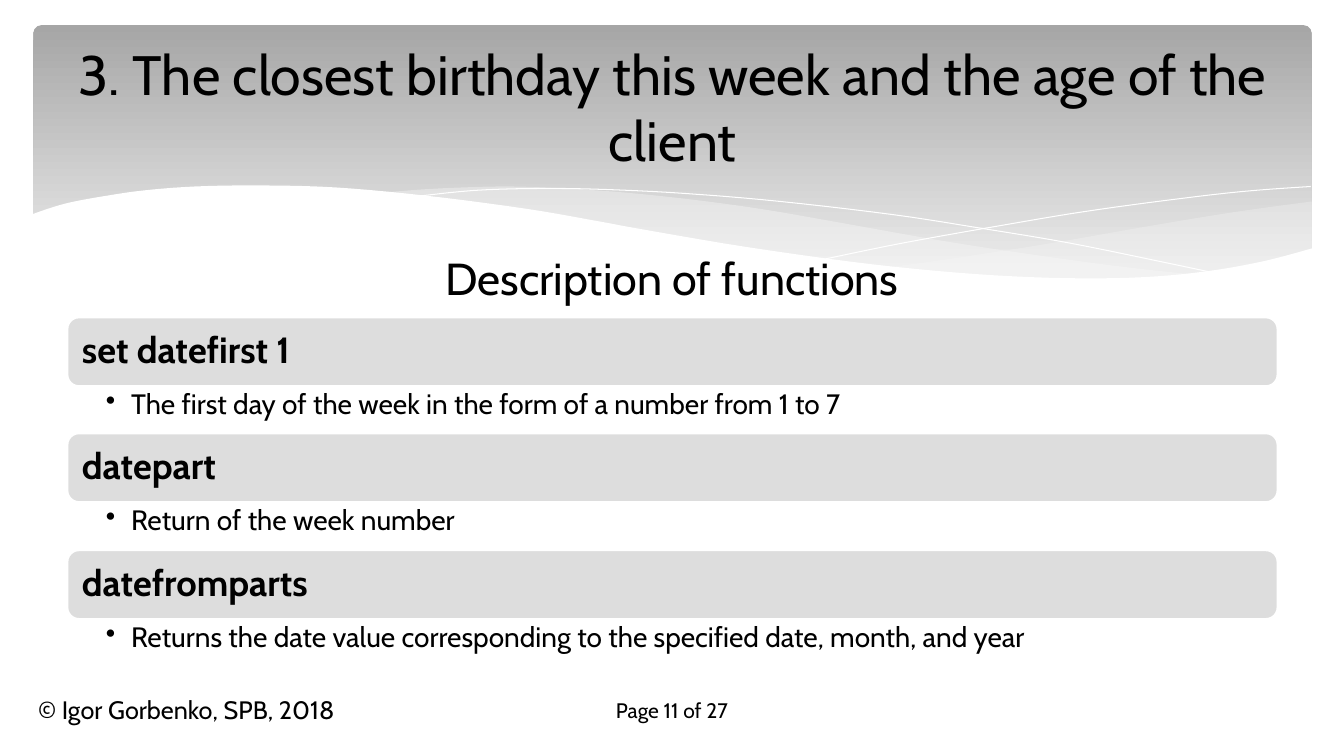
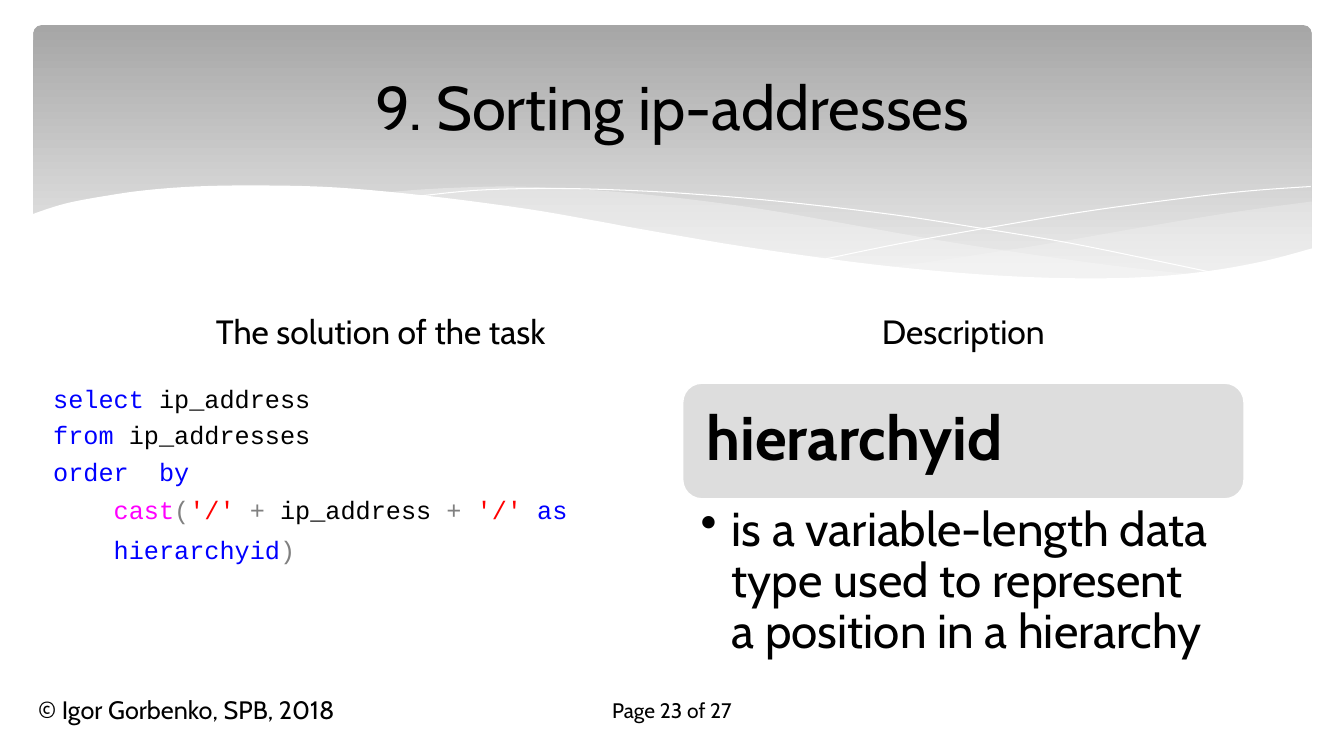
import pptx
import pptx.dml.color
import pptx.enum.shapes
import pptx.enum.text
import pptx.oxml
import pptx.oxml.ns
import pptx.util

PX = 9144
COLORS = {
    "ink": "000000", "paper": "FFFFFF", "bar": "DDDDDD", "wave": "F8F8F8",
    "band_top": "A6A6A6", "band_bottom": "EBEBEB",
    "keyword": "0000FF", "function": "FF00FF", "operator": "808080", "string": "FF0000",
}
FONT = "Cabin"
CODE_FONT = "Courier New"
ALIGN = pptx.enum.text.PP_ALIGN
ANCHOR = pptx.enum.text.MSO_ANCHOR

RIGHT_WAVE = [
    [(1300, 200), (1227, 210), (1147, 223), (1038, 242), (941, 257), (882, 265)],
    [(882, 265), (940, 271), (1009, 276), (1071, 278), (1138, 276), (1196, 270),
     (1257, 259), (1301, 247)],
    [(1301, 247), (1301, 200)],
]
LONG_WAVE = [
    [(1190, 273), (1116, 265), (1034, 254), (941, 240), (839, 222), (759, 208), (686, 198),
     (619, 191), (560, 187), (506, 185), (459, 186), (418, 188), (382, 191)],
    [(382, 191), (456, 199), (539, 211), (599, 222), (706, 240), (802, 255), (887, 266),
     (963, 274), (1030, 277), (1090, 278), (1143, 277), (1190, 273)],
]
FALLING_LINE = [
    [(412, 195), (470, 189), (535, 187), (600, 188), (680, 192), (775, 200), (886, 213),
     (970, 226), (1060, 241), (1158, 261), (1210, 272)],
]
RISING_LINE = [
    [(818, 257), (896, 241), (997, 223), (1075, 210), (1155, 199), (1232, 190), (1300, 185)],
]
WHITE_WAVE = [
    [(1303, 246), (1254, 259), (1198, 269), (1134, 275), (1058, 276), (969, 272), (863, 262),
     (740, 245), (634, 227), (596, 220), (521, 207), (421, 194), (333, 186), (258, 184),
     (194, 185), (142, 189), (101, 195), (69, 201), (48, 207), (31, 213)],
    [(31, 213), (31, 329)],
    [(31, 329), (1303, 329)],
]


def px(value):
    return pptx.util.Emu(round(value * PX))


def rgb(name):
    return pptx.dml.color.RGBColor.from_string(COLORS[name])


def smooth(knots, steps=5):
    padded = [knots[0], *knots, knots[-1]]
    points = [knots[0]]
    for a, b, c, d in zip(padded, padded[1:], padded[2:], padded[3:]):
        for step in range(1, steps + 1):
            t = step / steps
            points.append(tuple(
                (2 * q + (r - p) * t + (2 * p - 5 * q + 4 * r - s) * t ** 2
                 + (3 * q - p - 3 * r + s) * t ** 3) / 2
                for p, q, r, s in zip(a, b, c, d)))
    return points


def write(frame, spans, size, font=FONT, bold=False, align=ALIGN.LEFT, anchor=ANCHOR.TOP,
          insets=(10, 5, 10, 5), spacing=None, before=0, margin=0, bullet=False, first=True):
    if isinstance(spans, str):
        spans = [(spans, "ink")]
    frame.word_wrap = True
    frame.vertical_anchor = anchor
    frame.margin_left, frame.margin_top, frame.margin_right, frame.margin_bottom = map(px, insets)
    para = frame.paragraphs[0] if first else frame.add_paragraph()
    para.alignment = align
    para.space_before = pptx.util.Pt(before)
    if spacing:
        para.line_spacing = spacing
    properties = para._p.get_or_add_pPr()
    if margin:
        properties.set("marL", str(px(margin)))
        properties.set("indent", str(px(-margin if bullet else 0)))
    if bullet:
        mark = pptx.oxml.parse_xml(f'<a:buChar {pptx.oxml.ns.nsdecls("a")} char="•"/>')
        properties.append(mark)
    for text, color in spans:
        span = para.add_run()
        span.text = text
        span.font.name = font
        span.font.size = pptx.util.Pt(size)
        span.font.bold = bold
        span.font.color.rgb = rgb(color)


class Deck:
    def __init__(self):
        self.file = pptx.Presentation()
        self.file.slide_width, self.file.slide_height = px(1333), px(750)
        self.page = None

    def add_page(self, title, number, title_size=44):
        self.page = self.file.slides.add_slide(self.file.slide_layouts[6])
        self.add_band()
        self.add_text(title, (67, 37, 1200, 137), title_size, align=ALIGN.CENTER)
        self.add_text("© Igor Gorbenko, SPB, 2018", (28, 684, 552, 40), 18)
        self.add_text(f"Page {number} of 27", (582, 684, 169, 40), 15, align=ALIGN.CENTER)

    def add_box(self, place):
        kind = pptx.enum.shapes.MSO_SHAPE.ROUNDED_RECTANGLE
        box = self.page.shapes.add_shape(kind, *map(px, place))
        box.shadow.inherit = False
        return box

    def add_band(self):
        band = self.add_box((33, 25, 1268, 270))
        band.adjustments[0] = 0.03
        band.line.fill.background()
        band.fill.gradient()
        band.fill.gradient_angle = 270
        for stop, position, color in zip(band.fill.gradient_stops, (0, 0.9),
                                         ("band_top", "band_bottom")):
            stop.position = position
            stop.color.rgb = rgb(color)
        self.add_wave(RIGHT_WAVE, "wave", 29)
        self.add_wave(LONG_WAVE, "wave", 40)
        self.add_wave(FALLING_LINE)
        self.add_wave(RISING_LINE)
        self.add_wave(WHITE_WAVE, "paper")

    def add_wave(self, edges, fill=None, opacity=100):
        points = [(px(x), px(y)) for edge in edges for x, y in smooth(edge)]
        builder = self.page.shapes.build_freeform(*points[0])
        builder.add_line_segments(points[1:], close=fill is not None)
        wave = builder.convert_to_shape()
        wave.shadow.inherit = False
        if fill is None:
            wave.fill.background()
            wave.line.color.rgb = rgb("paper")
            wave.line.width = pptx.util.Pt(0)
            return
        wave.line.fill.background()
        wave.fill.solid()
        wave.fill.fore_color.rgb = rgb(fill)
        if opacity < 100:
            color = wave._element.spPr.find(".//" + pptx.oxml.ns.qn("a:srgbClr"))
            alpha = pptx.oxml.parse_xml(
                f'<a:alpha {pptx.oxml.ns.nsdecls("a")} val="{opacity * 1000}"/>')
            color.append(alpha)

    def add_text(self, text, place, size, anchor=ANCHOR.MIDDLE, **style):
        box = self.page.shapes.add_textbox(*map(px, place))
        write(box.text_frame, text, size, anchor=anchor, **style)

    def add_card(self, name, description, place, description_height, sizes, inset,
                 description_insets, margin):
        left, top, width, height = place
        bar = self.add_box(place)
        bar.fill.solid()
        bar.fill.fore_color.rgb = rgb("bar")
        bar.line.color.rgb = rgb("paper")
        bar.line.width = pptx.util.Pt(1.25)
        write(bar.text_frame, name, sizes[0], bold=True, anchor=ANCHOR.MIDDLE,
              insets=(inset,) * 4, spacing=0.9)
        self.add_text(description, (left, top + height, width, description_height), sizes[1],
                      anchor=ANCHOR.TOP, insets=description_insets, spacing=0.9,
                      margin=margin, bullet=True)

    def add_code(self, lines, place):
        frame = self.page.shapes.add_textbox(*map(px, place)).text_frame
        for index, (margin, before, spans) in enumerate(lines):
            write(frame, spans, 18, font=CODE_FONT, margin=margin, before=before,
                  first=index == 0)


def add_birthday_page(deck):
    deck.add_page("3. The closest birthday this week and the age of the client", 11, 39.6)
    deck.add_text("Description of functions", (388, 240, 557, 70), 32, align=ALIGN.CENTER)
    functions = [
        ("set datefirst 1", "The first day of the week in the form of a number from 1 to 7"),
        ("datepart", "Return of the week number"),
        ("datefromparts",
         "Returns the date value corresponding to the specified date, month, and year"),
    ]
    for index, (name, description) in enumerate(functions):
        deck.add_card(name, description, (67, 315 + 231 * index // 2, 1200, 68), 47,
                      sizes=(26, 20), inset=11, description_insets=(38, 4, 20, 4), margin=25)


def add_sorting_page(deck):
    deck.add_page("9. Sorting ip-addresses", 23)
    for heading, left in (("The solution of the task", 99), ("Description", 677)):
        deck.add_text(heading, (left, 293, 557, 70), 24, align=ALIGN.CENTER)
    deck.add_code([
        (0, 4.5, [("select ", "keyword"), ("ip_address", "ink")]),
        (0, 4.5, [("from ", "keyword"), ("ip_addresses", "ink")]),
        (0, 4.5, [("order  by", "keyword")]),
        (60, 6, [("cast", "function"), ("(", "operator"), ("'/' ", "string"),
                 ("+ ", "operator"), ("ip_address ", "ink"), ("+ ", "operator"),
                 ("'/' ", "string"), ("as", "keyword")]),
        (60, 7, [("hierarchyid", "keyword"), (")", "operator")]),
    ], (43, 375, 593, 295))
    deck.add_card("hierarchyid",
                  "is a variable-length data type used to represent a position in a hierarchy",
                  (677, 380, 557, 115), 169, sizes=(44, 34), inset=18,
                  description_insets=(18, 6, 34, 6), margin=31)


def main():
    deck = Deck()
    add_birthday_page(deck)
    add_sorting_page(deck)
    deck.file.save("out.pptx")


if __name__ == "__main__":
    main()
